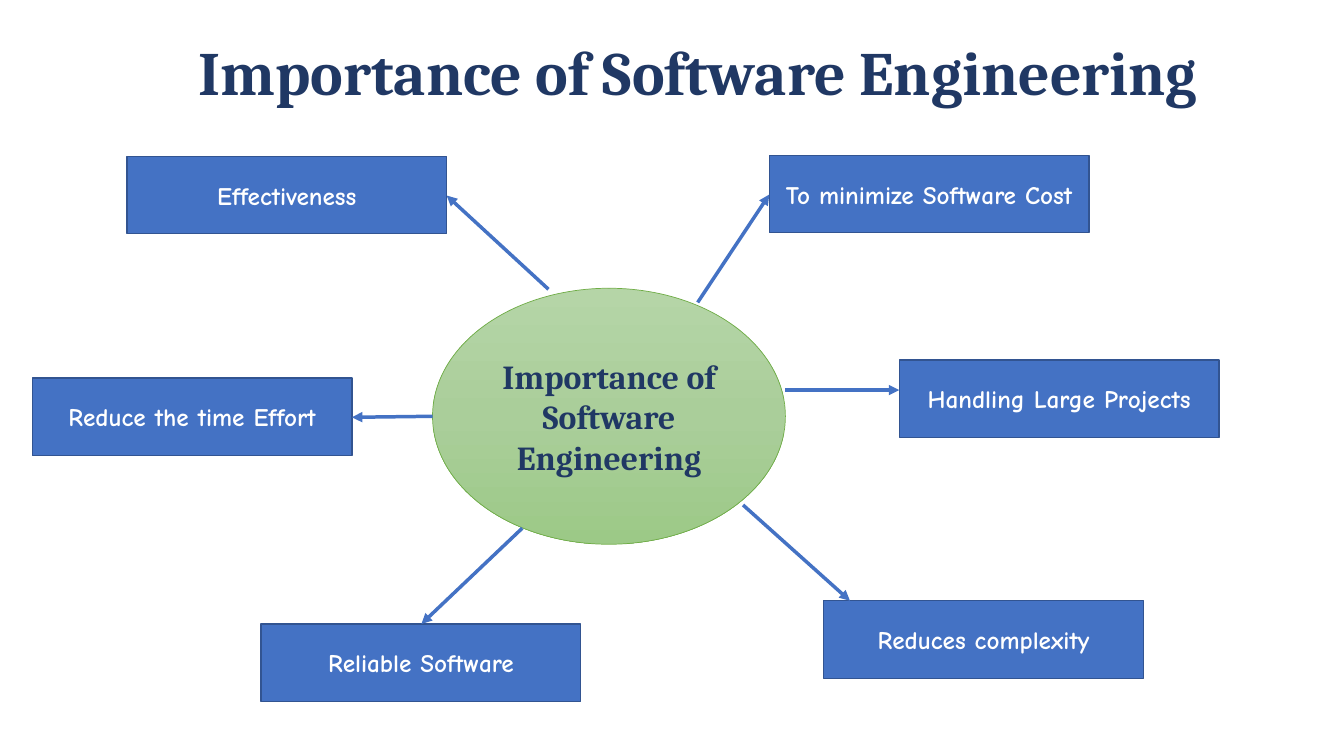
from copy import deepcopy

from lxml import etree
from pptx import Presentation
from pptx.dml.color import RGBColor
from pptx.enum.shapes import MSO_CONNECTOR, MSO_SHAPE
from pptx.enum.text import MSO_ANCHOR, PP_ALIGN
from pptx.oxml.ns import qn
from pptx.util import Inches, Pt

RECT = MSO_SHAPE.RECTANGLE
HUB = MSO_SHAPE.FLOWCHART_CONNECTOR
STRAIGHT = MSO_CONNECTOR.STRAIGHT
MIDDLE = MSO_ANCHOR.MIDDLE
CENTER = PP_ALIGN.CENTER

COLORS = {
    "navy": "203864",
    "blue": "4472C4",
    "blue_edge": "325491",
    "green_edge": "70AD47",
    "white": "FFFFFF",
}
HUB_GRADIENT = ["B5D5A7", "AACE9A", "9CC987"]
BOX_W, BOX_H = 3.17, 0.77


def write(sp, text, size=18, font="Cambria", color="navy", spacing=None):
    tf = sp.text_frame
    tf.word_wrap = True
    tf.vertical_anchor = MIDDLE
    p = tf.paragraphs[0]
    p.alignment = CENTER
    p.line_spacing = spacing
    r = p.add_run()
    r.text = text
    r.font.size = Pt(size)
    r.font.name = font
    r.font.bold = True
    r.font.color.rgb = RGBColor.from_string(COLORS[color])


prs = Presentation()
prs.slide_width, prs.slide_height = Inches(13.33), Inches(7.5)
s = prs.slides.add_slide(prs.slide_layouts[6])

# Title
title = s.shapes.add_textbox(Inches(0.92), Inches(0.02), Inches(12.01), Inches(1.45))
write(title, "Importance of Software Engineering", size=44, spacing=0.9)

# Central hub with a vertical three-stop gradient
hub = s.shapes.add_shape(HUB, Inches(4.29), Inches(2.86), Inches(3.5), Inches(2.54))
hub.shadow.inherit = False
hub.fill.gradient()
hub.fill.gradient_angle = 270
first = hub._element.spPr.find(".//" + qn("a:gs"))
first.addnext(deepcopy(first))
for i, (stop, color) in enumerate(zip(hub.fill.gradient_stops, HUB_GRADIENT)):
    stop.position = i / 2
    stop.color.rgb = RGBColor.from_string(color)
hub.line.color.rgb = RGBColor.from_string(COLORS["green_edge"])
hub.line.width = Pt(0.5)
write(hub, "Importance of Software Engineering", size=24)

# Reasons: label, box left and top, arrow start and end
reasons = [
    ("Handling Large Projects", (8.92, 3.57), (7.79, 3.87), (8.92, 3.87)),
    ("Reduces complexity", (8.17, 5.96), (7.37, 5.01), (8.43, 5.96)),
    ("Reliable Software", (2.59, 6.19), (5.18, 5.24), (4.18, 6.19)),
    ("Reduce the time Effort", (0.32, 3.75), (4.29, 4.13), (3.49, 4.14)),
    ("To minimize Software Cost", (7.63, 1.54), (6.92, 3), (7.63, 1.93)),
    ("Effectiveness", (1.26, 1.55), (5.44, 2.87), (4.43, 1.94)),
]
for label, (left, top), start, end in reasons:
    box = s.shapes.add_shape(RECT, Inches(left), Inches(top), Inches(BOX_W), Inches(BOX_H))
    box.shadow.inherit = False
    box.fill.solid()
    box.fill.fore_color.rgb = RGBColor.from_string(COLORS["blue"])
    box.line.color.rgb = RGBColor.from_string(COLORS["blue_edge"])
    box.line.width = Pt(1)
    write(box, label, font="Comic Neue", color="white")

    arrow = s.shapes.add_connector(STRAIGHT, *(Inches(v) for v in start + end))
    arrow.line.color.rgb = RGBColor.from_string(COLORS["blue"])
    arrow.line.width = Pt(2.5)
    etree.SubElement(arrow.line._get_or_add_ln(), qn("a:tailEnd"), type="triangle")
    etree.SubElement(arrow._element.spPr, qn("a:effectLst"))

prs.save("out.pptx")
